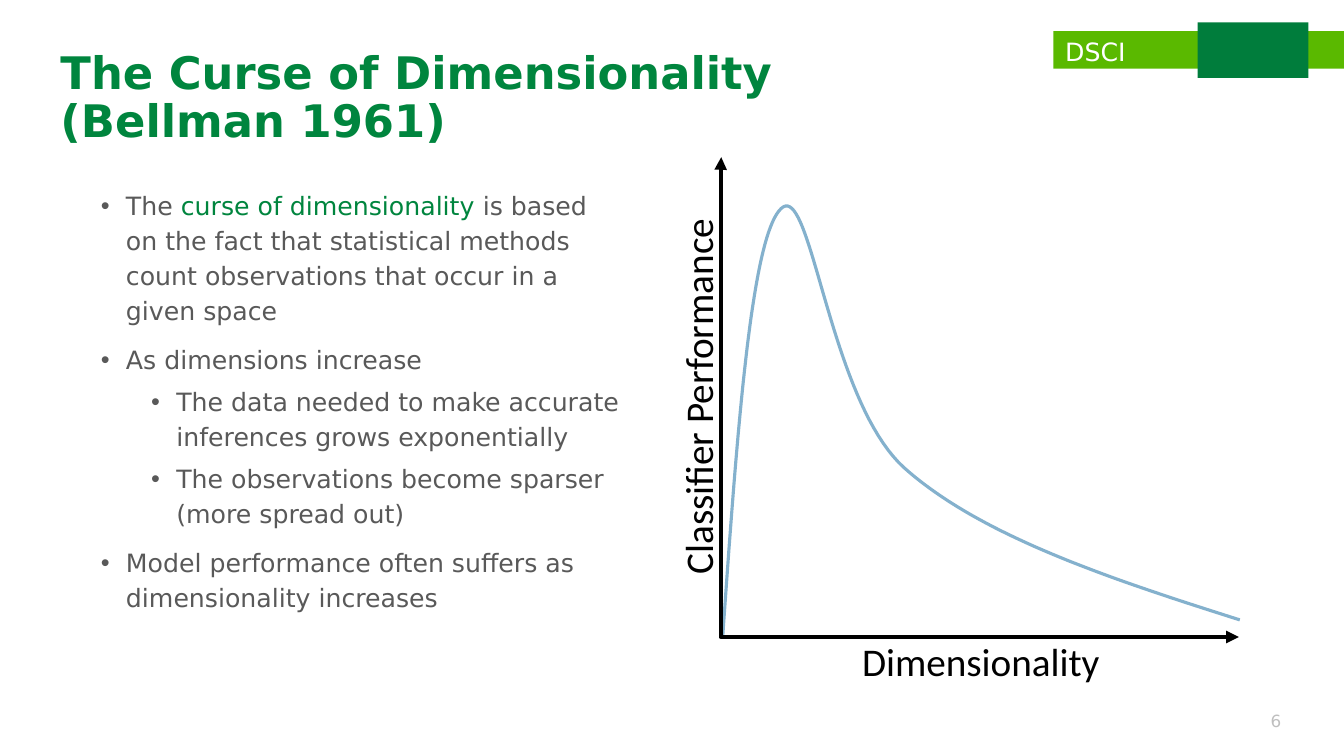
from lxml import etree
from pptx import Presentation
from pptx.dml.color import RGBColor
from pptx.enum import shapes, text
from pptx.oxml import ns
from pptx.util import Pt

LIME = RGBColor(0x5A, 0xB9, 0x00)
GREEN = RGBColor(0x00, 0x7D, 0x3C)
TITLE = RGBColor(0x00, 0x85, 0x3E)
GREY = RGBColor(0x59, 0x59, 0x59)
PALE = RGBColor(0xBF, 0xBF, 0xBF)
BLUE = RGBColor(0x84, 0xB1, 0xCD)
BLACK = RGBColor(0, 0, 0)
WHITE = RGBColor(0xFF, 0xFF, 0xFF)

START = (516.2, 455.8)
BENDS = [
    [(526.3, 312.5), (536.4, 169.2), (558, 149)],
    [(579.6, 128.2), (591.8, 285.1), (645.8, 334.1)],
    [(700.6, 383), (792.7, 413.3), (885.6, 442.8)],
]
STEPS = 40
# Each point: level, then runs of wording and colour
POINTS = [
    (0, [("The ", GREY), ("curse of dimensionality ", TITLE),
         ("is based on the fact that statistical methods count "
          "observations that occur in a given space", GREY)]),
    (0, [("As dimensions increase", GREY)]),
    (1, [("The data needed to make accurate inferences grows exponentially",
          GREY)]),
    (1, [("The observations become sparser (more spread out)", GREY)]),
    (0, [("Model performance often suffers as dimensionality increases",
          GREY)]),
]


def add(parent, tag, **attrs):
    return etree.SubElement(parent, ns.qn(tag), attrs)


def write(para, words, size=18, color=GREY, font="DejaVu Sans", bold=False):
    run = para.add_run()
    run.text = words
    run.font.size = Pt(size)
    run.font.name = font
    run.font.bold = bold
    run.font.color.rgb = color


def cubic(ends, t):
    """Point at t on the Bezier curve with four control points."""
    mix = ((1 - t) ** 3, 3 * t * (1 - t) ** 2, 3 * t * t * (1 - t), t ** 3)
    return tuple(Pt(sum(m * p[i] for m, p in zip(mix, ends)))
                 for i in (0, 1))


class Deck:
    def __init__(self, font="DejaVu Sans"):
        self.font = font
        self.prs = Presentation()
        self.prs.slide_width, self.prs.slide_height = Pt(960), Pt(540)
        self.slide = self.prs.slides.add_slide(self.prs.slide_layouts[1])
        self.shapes = self.slide.shapes

    def place(self, shape, box):
        shape.left, shape.top, shape.width, shape.height = map(Pt, box)

    def rect(self, box, color):
        bar = self.shapes.add_shape(shapes.MSO_SHAPE.RECTANGLE,
                                    *map(Pt, box))
        bar.shadow.inherit = False
        bar.fill.solid()
        bar.fill.fore_color.rgb = color
        bar.line.fill.background()

    def title(self, words, box):
        head = self.shapes.title
        self.place(head, box)
        frame = head.text_frame
        frame.auto_size = text.MSO_AUTO_SIZE.NONE
        frame.vertical_anchor = text.MSO_ANCHOR.MIDDLE
        para = frame.paragraphs[0]
        para.alignment = text.PP_ALIGN.LEFT
        para.line_spacing = 0.9
        write(para, words, 32, TITLE, self.font, True)

    def bullets(self, points, box):
        body = self.slide.placeholders[1]
        self.place(body, box)
        frame = body.text_frame
        frame.auto_size = text.MSO_AUTO_SIZE.NONE
        for i, (level, runs) in enumerate(points):
            para = frame.add_paragraph() if i else frame.paragraphs[0]
            para.level = level
            para.line_spacing = Pt(25)
            para.space_before = Pt(5 if level else 10)
            props = para._p.get_or_add_pPr()
            props.set("marL", str(Pt(18 + 36 * level)))
            props.set("indent", str(Pt(-18)))
            add(props, "a:buFont", typeface="Arial")
            add(props, "a:buChar", char="•")
            for words, color in runs:
                write(para, words, color=color, font=self.font)

    def label(self, words, box, inset=None, turn=0, wrap=True,
              align=text.PP_ALIGN.CENTER, **style):
        note = self.shapes.add_textbox(*map(Pt, box))
        note.rotation = turn
        frame = note.text_frame
        frame.word_wrap = wrap
        frame.vertical_anchor = text.MSO_ANCHOR.MIDDLE
        if inset is not None:
            frame.margin_left = frame.margin_right = Pt(inset)
            frame.margin_top = frame.margin_bottom = Pt(inset)
        frame.paragraphs[0].alignment = align
        write(frame.paragraphs[0], words, **style)

    def curve(self, start, bends, color, width):
        path = []
        for bend in bends:
            ends = [start, *bend]
            path += [cubic(ends, k / STEPS) for k in range(1, STEPS + 1)]
            start = bend[-1]
        first = map(Pt, START)
        pen = self.shapes.build_freeform(*first, scale=1.0)
        pen.add_line_segments(path, close=False)
        curve = pen.convert_to_shape()
        curve.shadow.inherit = False
        curve.fill.background()
        curve.line.color.rgb = color
        curve.line.width = Pt(width)

    def axes(self, top, end, color, width):
        """Both axes as one elbow: down from top, then right to end."""
        axes = self.shapes.add_connector(shapes.MSO_CONNECTOR.ELBOW,
                                         *map(Pt, top + end))
        axes.line.color.rgb = color
        axes.line.width = Pt(width)
        props = axes._element.spPr
        guides = props.find(ns.qn("a:prstGeom")).get_or_add_avLst()
        add(guides, "a:gd", name="adj1", fmla="val -100")
        line = axes.line._get_or_add_ln()
        add(line, "a:headEnd", type="triangle")
        add(line, "a:tailEnd", type="triangle")
        add(props, "a:effectLst")


def main():
    deck = Deck()
    deck.rect((752.4, 22.3, 207.6, 26.7), LIME)
    deck.label("DSCI", (753.8, 21.9, 98.6, 29), color=WHITE,
               align=text.PP_ALIGN.LEFT)
    deck.rect((855.4, 16, 79.2, 39.6), GREEN)
    deck.title("The Curse of Dimensionality (Bellman 1961)",
               (36, 28.8, 642.2, 83.5))
    deck.bullets(POINTS, (64.8, 128.9, 388.8, 342.7))
    axis = dict(inset=0, wrap=False, size=28, color=BLACK, font="Calibri")
    deck.label("Dimensionality", (614.9, 455, 171.4, 33.8), **axis)
    deck.label("Classifier Performance", (370.1, 266.4, 256.3, 33.8),
               turn=270, **axis)
    deck.curve(START, BENDS, BLUE, 2.25)
    deck.axes((515.2, 112.3), (884.9, 455), BLACK, 3)
    deck.label("6", (892.8, 500.4, 37.4, 28.8), size=12, color=PALE)
    deck.prs.save("out.pptx")


if __name__ == "__main__":
    main()
